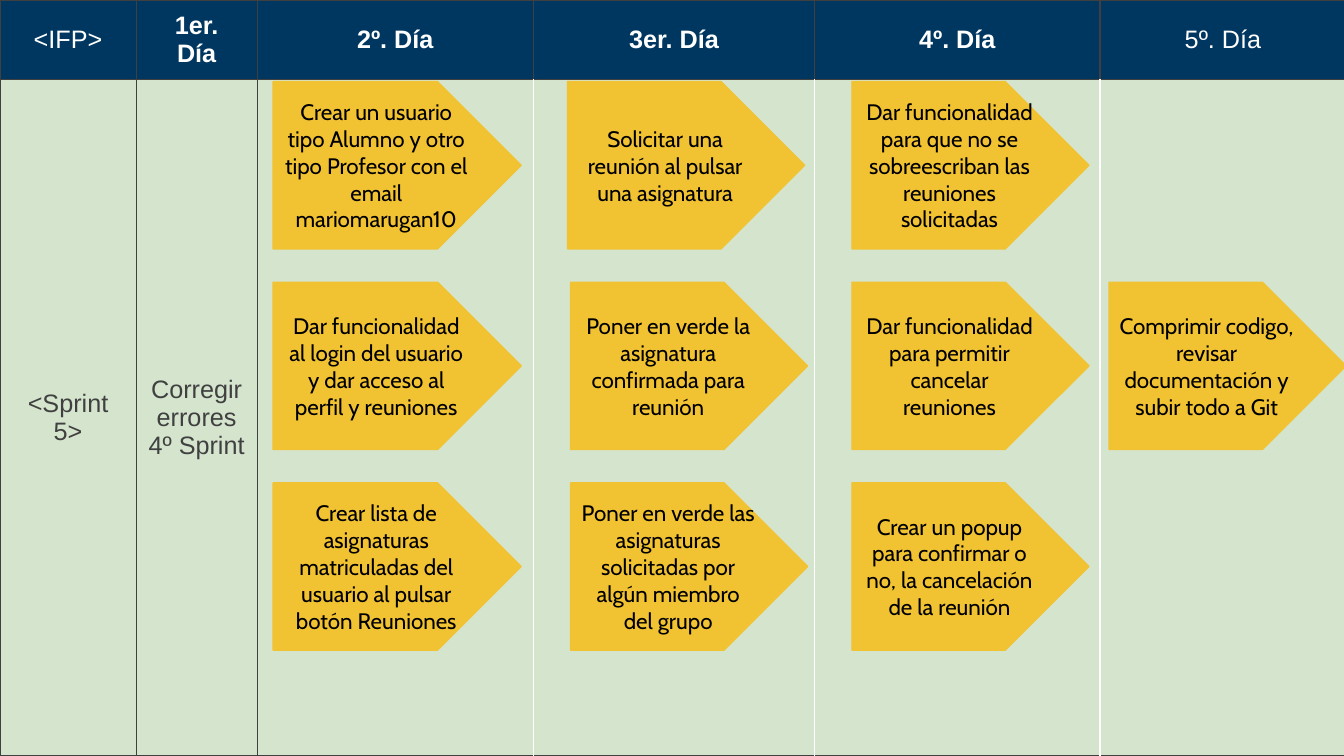
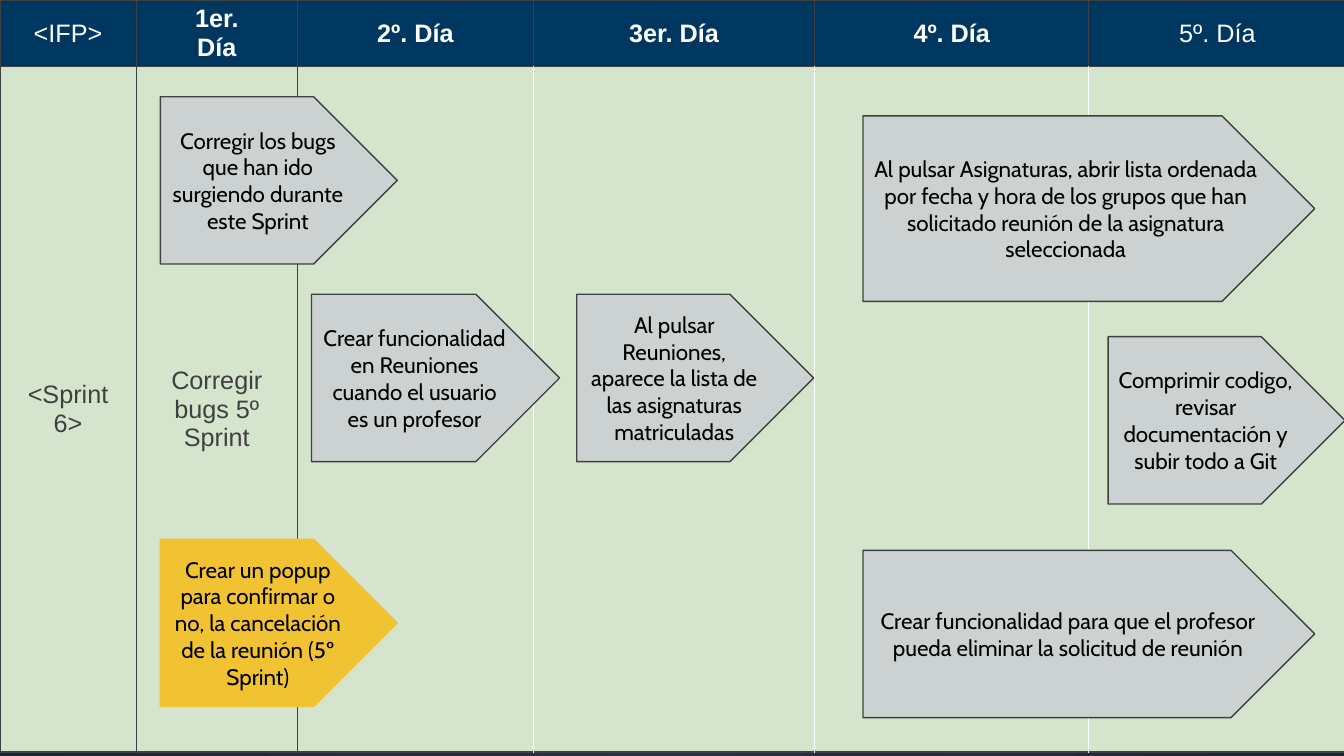
import itertools
from dataclasses import dataclass

import pptx
import pptx.dml.color
import pptx.enum.shapes
import pptx.enum.text
import pptx.oxml
import pptx.oxml.ns
import pptx.util
from lxml import etree

SLIDE_W, SLIDE_H = 13.33, 7.5
HEADERS = ["<IFP>", "1er.\nDía", "2º. Día", "3er. Día", "4º. Día", "5º. Día"]
LIGHT_HEADERS = (0, 5)


@dataclass(frozen=True)
class Theme:
    header: str = "003760"
    body: str = "D5E4CD"
    ink: str = "404040"
    white: str = "FFFFFF"
    black: str = "000000"
    amber: str = "F1C232"
    grey: str = "CCD2D2"
    footer_inner: str = "263050"
    footer_outer: str = "1C243C"
    table_font: str = "Arial"
    task_font: str = "Cabin"
    table_size: int = 18
    task_size: int = 16


@dataclass(frozen=True)
class Task:
    """One arrow: its day column, indent inside that column, and top within the board."""
    column: int
    indent: float
    top: float
    text: str
    width: float = 2.35
    height: float = 1.66
    done: bool = True


@dataclass(frozen=True)
class Sprint:
    name: str
    first_day: str
    columns: tuple
    rows: tuple
    tasks: tuple


T = Theme()
WIDE = 2.46
LANES = [0.81 + 1.99 * i for i in range(3)]

SPRINTS = [
    Sprint(
        "<Sprint 5>", "Corregir errores 4º Sprint",
        (1.35, 1.2, 2.74, 2.79, 2.83, 2.44), (0.79, 6.71),
        (
            Task(2, 0.16, LANES[0], "Crear un usuario tipo Alumno y otro tipo Profesor "
                 "con el email mariomarugan10", WIDE),
            Task(2, 0.16, LANES[1], "Dar funcionalidad al login del usuario y dar acceso "
                 "al perfil y reuniones", WIDE),
            Task(2, 0.16, LANES[2], "Crear lista de asignaturas matriculadas del usuario "
                 "al pulsar botón Reuniones", WIDE),
            Task(3, 0.34, LANES[0], "Solicitar una reunión al pulsar una asignatura"),
            Task(3, 0.37, LANES[1], "Poner en verde la asignatura confirmada para reunión"),
            Task(3, 0.37, LANES[2], "Poner en verde las asignaturas solicitadas por algún "
                 "miembro del grupo"),
            Task(4, 0.37, LANES[0], "Dar funcionalidad para que no se sobreescriban las "
                 "reuniones solicitadas"),
            Task(4, 0.37, LANES[1], "Dar funcionalidad para permitir cancelar reuniones"),
            Task(4, 0.37, LANES[2], "Crear un popup para confirmar o no, la cancelación "
                 "de la reunión"),
            Task(5, 0.09, LANES[1], "Comprimir codigo, revisar documentación y subir todo a Git"),
        ),
    ),
    Sprint(
        "<Sprint 6>", "Corregir bugs 5º Sprint",
        (1.35, 1.6, 2.34, 2.79, 2.72, 2.55), (0.66, 6.8),
        (
            Task(1, 0.24, 0.96, "Corregir los bugs que han ido surgiendo durante este Sprint",
                 done=False),
            Task(1, 0.24, 5.35, "Crear un popup para confirmar o no, la cancelación de la "
                 "reunión (5º Sprint)"),
            Task(2, 0.14, 2.92, "Crear funcionalidad en Reuniones cuando el usuario es un "
                 "profesor", WIDE, done=False),
            Task(3, 0.43, 2.92, "Al pulsar Reuniones, aparece la lista de las asignaturas "
                 "matriculadas", done=False),
            Task(4, 0.48, 1.15, "Al pulsar Asignaturas, abrir lista ordenada por fecha y hora "
                 "de los grupos que han solicitado reunión de la asignatura seleccionada",
                 4.48, 1.84, done=False),
            Task(4, 0.48, 5.46, "Crear funcionalidad para que el profesor pueda eliminar la "
                 "solicitud de reunión", 4.48, done=False),
            Task(5, 0.19, 3.34, "Comprimir codigo, revisar documentación y subir todo a Git",
                 done=False),
        ),
    ),
]


def rgb(value):
    return pptx.dml.color.RGBColor.from_string(value)


def inches(*lengths):
    return [pptx.util.Inches(n) for n in lengths]


def write(tf, text, font, size, color, bold=False):
    """Fill a text frame with centred paragraphs, one per line of text."""
    tf.word_wrap = True
    for i, line in enumerate(text.split("\n")):
        p = tf.add_paragraph() if i else tf.paragraphs[0]
        p.alignment = pptx.enum.text.PP_ALIGN.CENTER
        r = p.add_run()
        r.text = line
        r.font.name, r.font.size, r.font.bold = font, pptx.util.Pt(size), bold
        r.font.color.rgb = rgb(color)


def add_box(s, kind, box, fill, line=None):
    sp = s.shapes.add_shape(kind, *inches(*box))
    sp.shadow.inherit = False
    sp.fill.solid()
    sp.fill.fore_color.rgb = rgb(fill)
    if line:
        sp.line.color.rgb = rgb(line)
        sp.line.width = pptx.util.Pt(1)
    else:
        sp.line.fill.background()
    return sp


def set_borders(cell, **colors):
    tc_pr = cell._tc.get_or_add_tcPr()
    for side in "LRTB":
        tc_pr.append(pptx.oxml.parse_xml(
            f'<a:ln{side} {pptx.oxml.ns.nsdecls("a")} w="12700"><a:solidFill>'
            f'<a:srgbClr val="{colors.get(side, T.ink)}"/></a:solidFill></a:ln{side}>'))


def add_footer(prs, s, box):
    """Build the footer band and move it to the master, so that every slide shows it."""
    left, top, width, height = box
    rect = pptx.enum.shapes.MSO_SHAPE.RECTANGLE
    band = add_box(s, rect, box, T.footer_outer)
    band.fill.gradient()
    for stop, color in zip(band.fill.gradient_stops, (T.footer_inner, T.footer_outer)):
        stop.color.rgb = rgb(color)
    qn = pptx.oxml.ns.qn
    grad = band.element.spPr.find(qn("a:gradFill"))
    grad.remove(grad.find(qn("a:lin")))
    radial = etree.SubElement(grad, qn("a:path"), path="circle")
    etree.SubElement(radial, qn("a:fillToRect"), l="50000", t="50000", r="50000", b="50000")
    stripe = add_box(s, rect, (left, top, width, height / 6), T.white)
    for sp in (band, stripe):
        prs.slide_master.shapes.element.append(sp.element)


def add_calendar(s, sprint, box):
    left, top, width, _ = box
    size = (len(sprint.rows), len(sprint.columns))
    table = s.shapes.add_table(*size, *inches(left, top, width, sum(sprint.rows))).table
    table.first_row = table.horz_banding = False
    for column, length in zip(table.columns, sprint.columns):
        column.width = pptx.util.Inches(length)
    for row, length in zip(table.rows, sprint.rows):
        row.height = pptx.util.Inches(length)
    last = len(HEADERS) - 1
    body = [sprint.name, sprint.first_day]
    for i, text in enumerate(HEADERS):
        head, cell = table.cell(0, i), table.cell(1, i)
        set_borders(head)
        set_borders(cell, L=T.white if i > 2 else T.ink,
                    R=T.white if 2 <= i < last else T.ink)
        for c, fill in ((head, T.header), (cell, T.body)):
            c.fill.solid()
            c.fill.fore_color.rgb = rgb(fill)
            c.vertical_anchor = pptx.enum.text.MSO_ANCHOR.MIDDLE
        write(head.text_frame, text, T.table_font, T.table_size, T.white,
              bold=i not in LIGHT_HEADERS)
        if i < len(body):
            write(cell.text_frame, body[i], T.table_font, T.table_size, T.ink)


def add_task(s, task, box):
    fill, line = (T.amber, T.amber) if task.done else (T.grey, T.ink)
    sp = add_box(s, pptx.enum.shapes.MSO_SHAPE.PENTAGON, box, fill, line)
    sp.text_frame.vertical_anchor = pptx.enum.text.MSO_ANCHOR.MIDDLE
    write(sp.text_frame, task.text, T.task_font, T.task_size, T.black)


def add_board(s, sprint, box):
    left, top, _, _ = box
    add_calendar(s, sprint, box)
    edges = list(itertools.accumulate(sprint.columns, initial=left))
    for task in sprint.tasks:
        add_task(s, task, (edges[task.column] + task.indent, top + task.top,
                           task.width, task.height))


def main():
    prs = pptx.Presentation()
    prs.slide_width, prs.slide_height = inches(SLIDE_W, SLIDE_H)
    blank = prs.slide_layouts[6]
    for i, sprint in enumerate(SPRINTS):
        s = prs.slides.add_slide(blank)
        if i == 0:
            add_footer(prs, s, (0, 0.96 * SLIDE_H, SLIDE_W, 0.04 * SLIDE_H))
        add_board(s, sprint, (0, 0, SLIDE_W, SLIDE_H))
    prs.save("out.pptx")


if __name__ == "__main__":
    main()
